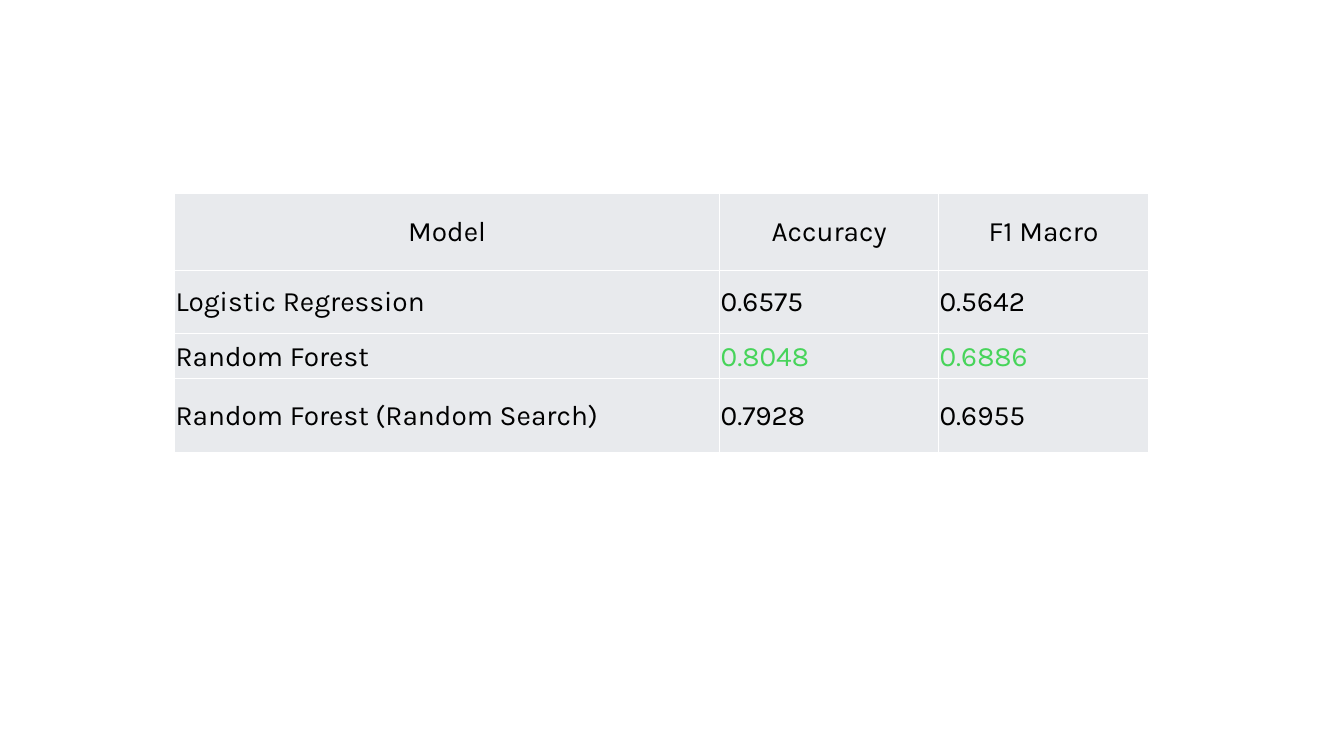
"""Build a slide with a table comparing model accuracy and F1 scores."""
import dataclasses

import lxml.etree
import pptx
import pptx.dml.color
import pptx.enum.text
import pptx.oxml.ns
import pptx.table
import pptx.util

Pt = pptx.util.Pt
RGBColor = pptx.dml.color.RGBColor
PP_ALIGN = pptx.enum.text.PP_ALIGN

BLACK = RGBColor(0x00, 0x00, 0x00)
WHITE = RGBColor(0xFF, 0xFF, 0xFF)
GREY = RGBColor(0xE8, 0xEA, 0xED)
GREEN = RGBColor(0x47, 0xD4, 0x5A)

TABLE_LEFT, TABLE_TOP = 124.7, 137.8
COLUMN_WIDTHS = (389.4, 156.4, 150)
BORDER_WIDTH = 1


@dataclasses.dataclass(frozen=True)
class ScoreRow:
    model: str
    accuracy: str
    f1_macro: str
    height: float
    score_color: RGBColor = BLACK
    alignment: PP_ALIGN = PP_ALIGN.LEFT


ROWS = (
    ScoreRow("Model", "Accuracy", "F1 Macro", 55.4, alignment=PP_ALIGN.CENTER),
    ScoreRow("Logistic Regression", "0.6575", "0.5642", 45.2),
    ScoreRow("Random Forest", "0.8048", "0.6886", 32.2, GREEN),
    ScoreRow("Random Forest (Random Search)", "0.7928", "0.6955", 53),
)


def add_borders(cell: pptx.table._Cell, color: RGBColor) -> None:
    """Draw a solid line on all four sides of a cell."""
    qn = pptx.oxml.ns.qn
    properties = cell._tc.get_or_add_tcPr()
    for side in ("a:lnL", "a:lnR", "a:lnT", "a:lnB"):
        line = lxml.etree.SubElement(properties, qn(side), w=str(Pt(BORDER_WIDTH)))
        fill = lxml.etree.SubElement(line, qn("a:solidFill"))
        lxml.etree.SubElement(fill, qn("a:srgbClr"), val=str(color))


def fill_cell(cell: pptx.table._Cell, text: str, color: RGBColor, alignment: PP_ALIGN) -> None:
    """Write and format the text of one cell."""
    add_borders(cell, WHITE)
    cell.fill.solid()
    cell.fill.fore_color.rgb = GREY
    cell.margin_left = cell.margin_right = cell.margin_top = Pt(0.7)
    cell.margin_bottom = Pt(0)
    cell.vertical_anchor = pptx.enum.text.MSO_ANCHOR.MIDDLE
    paragraph = cell.text_frame.paragraphs[0]
    paragraph.text = text
    paragraph.alignment = alignment
    paragraph.font.name = "Karla"
    paragraph.font.size = Pt(20)
    paragraph.font.color.rgb = color


def main() -> None:
    """Create the deck and save it."""
    deck = pptx.Presentation()
    deck.slide_width, deck.slide_height = Pt(960), Pt(540)
    page = deck.slides.add_slide(deck.slide_layouts[6])
    table = page.shapes.add_table(
        len(ROWS), len(COLUMN_WIDTHS), Pt(TABLE_LEFT), Pt(TABLE_TOP),
        Pt(sum(COLUMN_WIDTHS)), Pt(sum(row.height for row in ROWS)),
    ).table
    for column, width in zip(table.columns, COLUMN_WIDTHS):
        column.width = Pt(width)
    for table_row, row in zip(table.rows, ROWS):
        table_row.height = Pt(row.height)
        texts = (row.model, row.accuracy, row.f1_macro)
        colors = (BLACK, row.score_color, row.score_color)
        for cell, text, color in zip(table_row.cells, texts, colors):
            fill_cell(cell, text, color, row.alignment)
    table.first_row = table.horz_banding = False
    deck.save("out.pptx")


if __name__ == "__main__":
    main()
